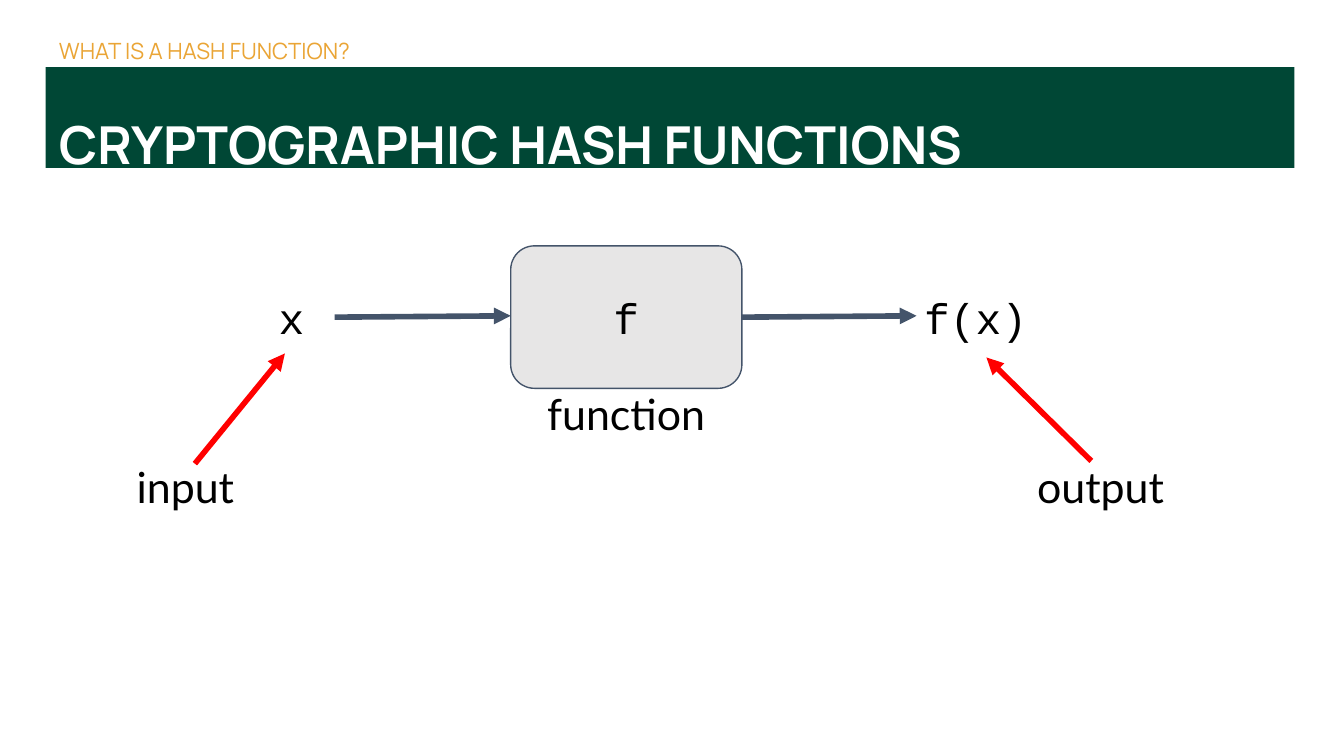
from lxml import etree
from pptx import Presentation, util as u
from pptx.dml.color import RGBColor
from pptx.enum import shapes, text
from pptx.oxml import ns

GOLD = RGBColor(0xEA, 0xA5, 0x36)
GREEN = RGBColor(0x00, 0x47, 0x35)
WHITE = RGBColor(0xFF, 0xFF, 0xFF)
BLACK = RGBColor(0, 0, 0)
GREY = RGBColor(0xE7, 0xE6, 0xE6)
SLATE = RGBColor(0x44, 0x54, 0x6A)
RED = RGBColor(0xFF, 0, 0)

WIDE = 10
HIGH = WIDE * 9 / 16
EDGE, SPAN = 0.34, 9.29
NODE_W, NODE_H, NODE_Y = 1.72, 1.06, 1.83
TAG_W, TAG_H = 1.36, 0.41
MID = 4.66

NODES = [("x", 2.17), ("f", MID), ("f(x)", 7.26)]
TAGS = [("input", 1.38, 3.39), ("function", MID, 2.84), ("output", 8.19, 3.39)]
ARROWS = [
    ((2.49, 2.36), (MID - NODE_W / 2, 2.35), SLATE),
    ((MID + NODE_W / 2, 2.36), (6.82, 2.35), SLATE),
    ((1.45, 3.45), (2.12, 2.63), RED),
    ((8.12, 3.43), (7.34, 2.66), RED),
]

deck = Presentation()
deck.slide_width, deck.slide_height = u.Inches(WIDE), u.Inches(HIGH)
slide = deck.slides.add_slide(deck.slide_layouts[6])


def write(words, x, y, w, h, font="Lato", size=23, color=BLACK, bold=False,
          align=text.PP_ALIGN.CENTER, anchor=text.MSO_ANCHOR.TOP,
          inset=0.04, lead=1, fill=None):
    box = slide.shapes.add_textbox(*map(u.Inches, (x, y, w, h)))
    if fill is not None:
        box.fill.solid()
        box.fill.fore_color.rgb = fill
    frame = box.text_frame
    frame.word_wrap = True
    frame.vertical_anchor = anchor
    frame.margin_left = frame.margin_right = u.Inches(inset)
    frame.margin_top = frame.margin_bottom = u.Inches(inset)
    para = frame.paragraphs[0]
    para.alignment, para.line_spacing = align, lead
    run = para.add_run()
    run.text = words
    run.font.name, run.font.size = font, u.Pt(size)
    run.font.bold, run.font.color.rgb = bold, color


def arrow(start, end, color):
    line = slide.shapes.add_connector(
        shapes.MSO_CONNECTOR.STRAIGHT, *map(u.Inches, start + end))
    line.line.color.rgb, line.line.width = color, u.Pt(3)
    props = line._element.spPr
    etree.SubElement(props.find(ns.qn("a:ln")), ns.qn("a:tailEnd"), type="triangle")
    etree.SubElement(props, ns.qn("a:effectLst"))


head = dict(font="Manrope", align=text.PP_ALIGN.LEFT, inset=0.1)
write("WHAT IS A HASH FUNCTION?", EDGE, 0.21, SPAN, 0.43,
      size=12, color=GOLD, lead=0.9, **head)
write("CRYPTOGRAPHIC HASH FUNCTIONS", EDGE, 0.5, SPAN, 0.75,
      size=28, color=WHITE, bold=True, lead=1.5, fill=GREEN, **head)

block = slide.shapes.add_shape(
    shapes.MSO_SHAPE.ROUNDED_RECTANGLE,
    *map(u.Inches, (MID - NODE_W / 2, NODE_Y, NODE_W, NODE_H)))
block.shadow.inherit = False
block.fill.solid()
block.fill.fore_color.rgb = GREY
block.line.color.rgb, block.line.width = SLATE, u.Pt(0.75)

for start, end, color in ARROWS:
    arrow(start, end, color)
for words, mid in NODES:
    write(words, mid - NODE_W / 2, NODE_Y, NODE_W, NODE_H,
          font="Courier New", anchor=text.MSO_ANCHOR.MIDDLE)
for words, mid, top in TAGS:
    write(words, mid - TAG_W / 2, top, TAG_W, TAG_H)

deck.save("out.pptx")
